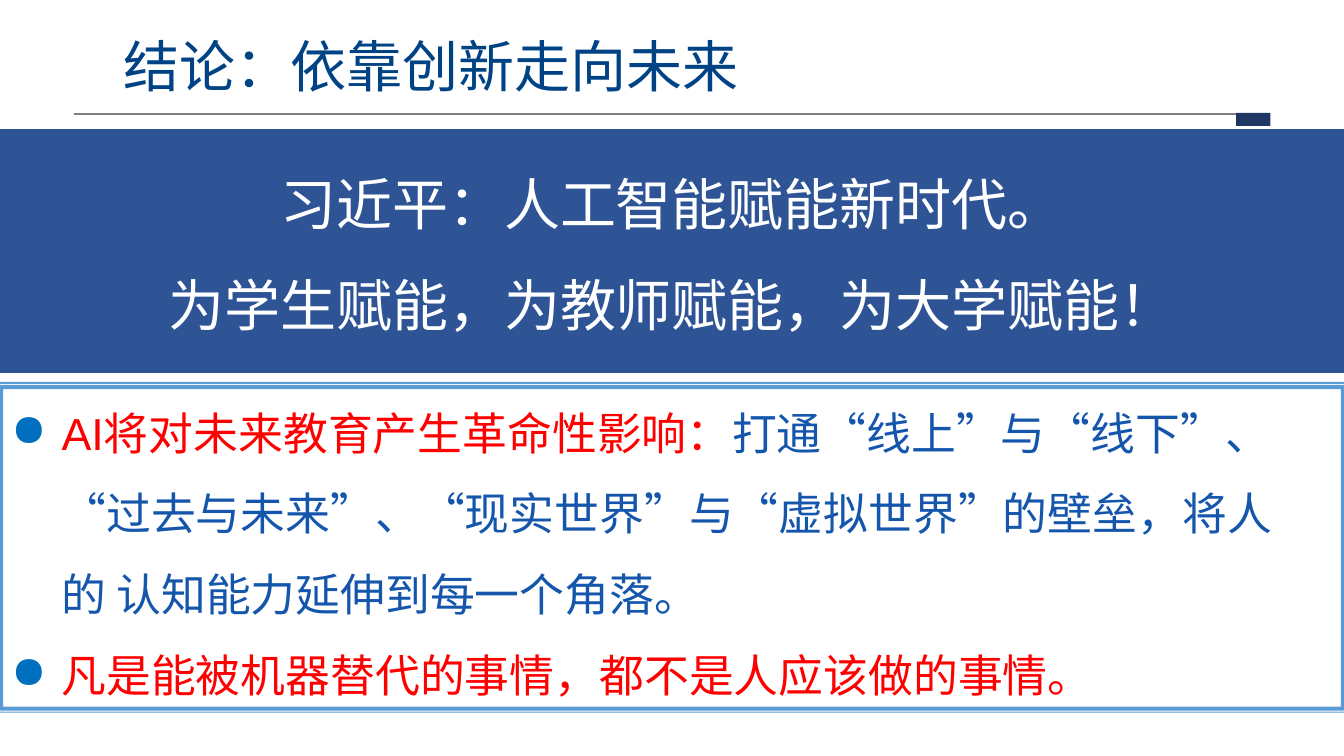
from dataclasses import dataclass
from lxml.etree import SubElement
from pptx import Presentation
from pptx.dml.color import RGBColor
from pptx.enum.shapes import MSO_CONNECTOR, MSO_SHAPE
from pptx.enum.text import MSO_AUTO_SIZE, PP_ALIGN
from pptx.oxml.ns import qn
from pptx.util import Inches, Pt


@dataclass(frozen=True)
class Theme:
    title: str = "004385"
    rule: str = "7E7E7E"
    tab: str = "1F3863"
    band: str = "2E5496"
    frame: str = "5B9BD4"
    white: str = "FFFFFF"
    red: str = "FF0000"
    blue: str = "1556AD"
    dot: str = "006FC0"
    large: int = 40
    body: int = 32
    hair: float = 0.25
    hans: str = "Noto Sans CJK SC"
    latin: str = "Arial"


class Deck:
    def __init__(self, theme):
        self.theme = theme
        self.show = Presentation()
        self.show.slide_width = Inches(13.33)
        self.show.slide_height = Inches(7.5)
        self.slide = self.show.slides.add_slide(self.show.slide_layouts[6])
        self.shapes = self.slide.shapes

    def col(self, share):
        return round(self.show.slide_width * share / 100)

    def row(self, share):
        return round(self.show.slide_height * share / 100)

    def area(self, left, top, wide, high):
        return self.col(left), self.row(top), self.col(wide), self.row(high)

    def paint(self, shape, color):
        shape.shadow.inherit = False
        shape.fill.solid()
        shape.fill.fore_color.rgb = RGBColor.from_string(color)
        shape.line.fill.background()

    def line(self, left, right, top):
        rule = self.shapes.add_connector(
            MSO_CONNECTOR.STRAIGHT,
            self.col(left), self.row(top), self.col(right), self.row(top))
        rule.line.color.rgb = RGBColor.from_string(self.theme.rule)
        rule.line.width = Pt(self.theme.hair)
        SubElement(rule._element.spPr, qn("a:effectLst"))

    def block(self, place, color):
        shape = self.shapes.add_shape(MSO_SHAPE.RECTANGLE, *self.area(*place))
        self.paint(shape, color)

    def frame(self, rings, color):
        pen = None
        for left, top, right, low in rings:
            x, y, far, end = self.area(left, top, right, low)
            if pen is None:
                pen = self.shapes.build_freeform(x, y)
            else:
                pen.move_to(x, y)
            pen.add_line_segments([(far, y), (far, end), (x, end)], close=True)
        self.paint(pen.convert_to_shape(), color)

    def text(self, place, inset=0):
        box = self.shapes.add_textbox(*self.area(*place)).text_frame
        box.word_wrap = True
        box.auto_size = MSO_AUTO_SIZE.SHAPE_TO_FIT_TEXT
        box.margin_left = box.margin_right = box.margin_bottom = 0
        box.margin_top = self.row(inset)
        return box

    def para(self, box, parts, size, before=0, align=PP_ALIGN.LEFT,
             indent=0, space=None, dot=False):
        first = not box.paragraphs[0].runs
        para = box.paragraphs[0] if first else box.add_paragraph()
        para.alignment = align
        if before:
            para.space_before = Pt(before)
        if space:
            para.line_spacing = space
        props = para._p.get_or_add_pPr()
        props.set("marL", str(self.col(indent)))
        if dot:
            self.bullet(props, indent)
        for words, color, font in parts:
            run = para.add_run()
            run.text = words
            run.font.size = Pt(size)
            run.font.name = font
            run.font.color.rgb = RGBColor.from_string(color)
            SubElement(run._r.get_or_add_rPr(), qn("a:ea"),
                       typeface=self.theme.hans)

    def bullet(self, props, indent):
        props.set("indent", str(-self.col(3.75)))
        tint = SubElement(props, qn("a:buClr"))
        SubElement(tint, qn("a:srgbClr"), val=self.theme.dot)
        SubElement(props, qn("a:buChar"), char="●")
        tabs = SubElement(props, qn("a:tabLst"))
        SubElement(tabs, qn("a:tab"), pos=str(self.col(indent)), algn="l")

    def save(self):
        self.show.save("out.pptx")


def main():
    theme = Theme()
    deck = Deck(theme)
    for top in (14.93, 15.07):
        deck.line(5.48, 94.52, top)
    deck.block((91.97, 14.93, 2.55, 1.74), theme.tab)
    deck.frame([
        (0, 50.53, 100, 50.8),
        (0, 50.93, 100, 94),
        (0.23, 51.47, 99.77, 93.47),
        (0, 94.13, 100, 94.27),
    ], theme.frame)
    deck.block((0, 17.07, 100, 32.26), theme.band)

    main_box = deck.text((0.75, 17.73, 97.3, 75.2), 4.67)
    slogans = (
        ("习近平：人工智能赋能新时代。", 0),
        ("为学生赋能，为教师赋能，为大学赋能！", 24),
    )
    for words, before in slogans:
        deck.para(main_box, [(words, theme.white, theme.hans)], theme.large,
                  before, PP_ALIGN.CENTER, 1.2)
    points = (
        ([
            ("AI", theme.red, theme.latin),
            ("将对未来教育产生革命性影响：", theme.red, theme.hans),
            ("打通“线上”与“线下”、 “过去与未来”、“现实世界”与“虚拟世界”"
             "的壁垒，将人的 认知能力延伸到每一个角落。",
             theme.blue, theme.hans),
        ], 29.5, 1.5),
        ([("凡是能被机器替代的事情，都不是人应该做的事情。",
           theme.red, theme.hans)], 19.2, None),
    )
    for parts, before, space in points:
        deck.para(main_box, parts, theme.body, before,
                  indent=3.83, space=space, dot=True)

    head = deck.text((9.08, 4, 46.06, 9.2), 0.13)
    deck.para(head, [("结论：依靠创新走向未来", theme.title, theme.hans)],
              theme.large, indent=0.08)
    deck.save()


if __name__ == "__main__":
    main()
